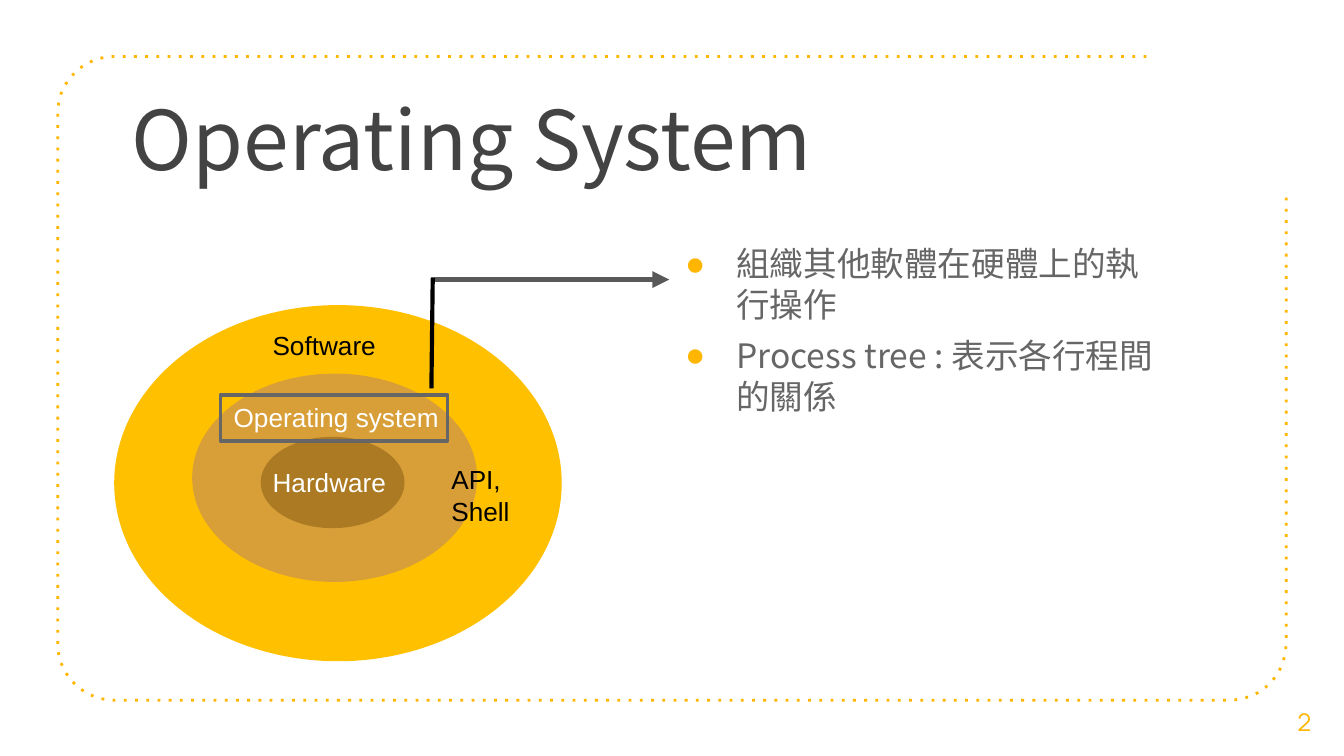
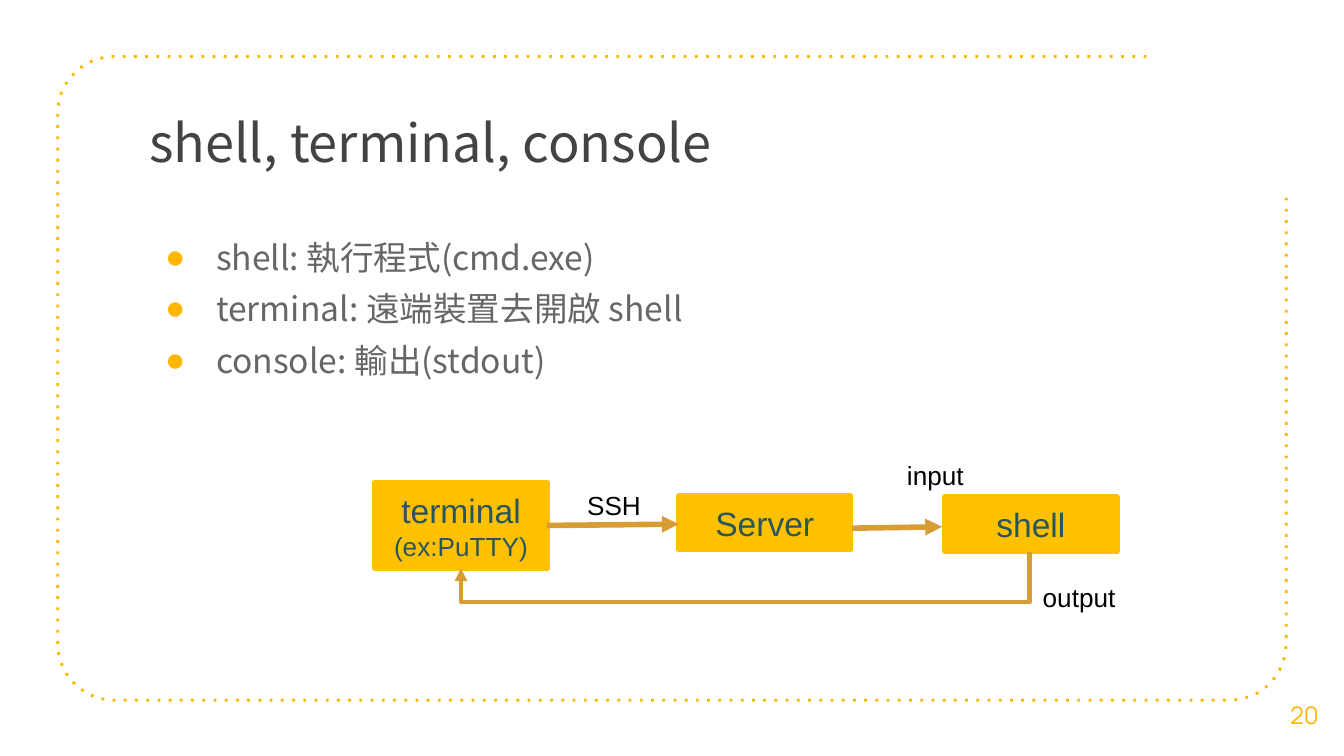
from math import cos, radians, sin

from lxml import etree
from pptx import Presentation
from pptx.dml.color import RGBColor
from pptx.enum.shapes import MSO_CONNECTOR as Connector, MSO_SHAPE as Shape
from pptx.enum.text import MSO_ANCHOR as Anchor, PP_ALIGN as Align
from pptx.oxml.ns import qn
from pptx.util import Inches, Pt

COLORS = {
    "accent": "FFB600", "title": "434343", "body": "666666",
    "amber": "FFC000", "ochre": "D89F39", "brown": "AB7A22",
    "arrow": "D79D34", "gray": "595959", "teal": "29555D",
    "black": "000000", "white": "FFFFFF",
}
HEAD_FONT, LABEL_FONT, NUMBER_FONT = "Noto Sans CJK SC", "Arial", "Manrope"

# Content: boxes are left, top, width, height in inches
SYSTEM = {
    "title": ("Operating System", 44, (0.88, 0.56, 7.51, 0.94)),
    "number": ("2", 5.07),
    "bullets": ["組織其他軟體在硬體上的執行操作", "Process tree : 表示各行程間的關係"],
    "body": (4.88, 1.71, 3.88, 3.31),
}
LAYERS = [
    ("amber", (0.85, 2.27, 3.33, 2.65)),
    ("ochre", (1.43, 2.78, 2.12, 1.55)),
    ("brown", (1.94, 3.25, 1.07, 0.68)),
]
LAYER_LABELS = [
    (["Hardware"], "white", (1.93, 3.42, 1.16, 0.34)),
    (["Operating system"], "white", (1.64, 2.94, 1.76, 0.34)),
    (["Software"], "black", (1.93, 2.4, 1.4, 0.34)),
    (["API,", "Shell"], "black", (3.26, 3.4, 1.18, 0.57)),
]
HIGHLIGHT = (1.64, 2.94, 1.69, 0.34)

CONSOLE = {
    "title": ("shell, terminal, console", 28, (1.01, 0.72, 7.51, 0.94)),
    "number": ("20", 5.02),
    "bullets": ["shell: 執行程式(cmd.exe)", "terminal: 遠端裝置去開啟 shell",
                "console: 輸出(stdout)"],
    "body": (1.01, 1.66, 4.43, 3.31),
}
FLOW_BOXES = [
    ([("terminal", 18), ("(ex:PuTTY)", 14)], (2.79, 3.59, 1.28, 0.64)),
    ([("Server", 18)], (5.05, 3.69, 1.28, 0.4)),
    ([("shell", 18)], (7.03, 3.7, 1.28, 0.4)),
]
FLOW_ARROWS = [((4.07, 3.91), (5.05, 3.9)), ((6.34, 3.93), (7.01, 3.92))]
FLOW_LABELS = [("SSH", 4.27, 3.59), ("input", 6.65, 3.37), ("output", 7.66, 4.28)]
RETURN_START, RETURN_END, RETURN_LEVEL = (7.66, 4.11), (3.43, 4.23), 4.48


def color(name):
    return RGBColor.from_string(COLORS[name])


def inches(values):
    return [Inches(value) for value in values]


def add_run(paragraph, text, size, font_name, color_name):
    run = paragraph.add_run()
    run.text = text
    run.font.size = Pt(size)
    run.font.name = font_name
    run.font.color.rgb = color(color_name)
    if font_name == HEAD_FONT:
        latin = run._r.rPr.find(qn("a:latin"))
        latin.addnext(etree.Element(qn("a:ea"), typeface=font_name))


def set_frame(frame, margin=None, anchor=Anchor.TOP):
    frame.word_wrap = True
    frame.vertical_anchor = anchor
    if margin is not None:
        frame.margin_left = frame.margin_right = Inches(margin)
        frame.margin_top = frame.margin_bottom = Inches(margin)


def fill_lines(frame, lines, font_name, color_name, align=Align.LEFT):
    """Write (text, size) lines, one paragraph each."""
    for index, (text, size) in enumerate(lines):
        paragraph = frame.add_paragraph() if index else frame.paragraphs[0]
        paragraph.alignment = align
        add_run(paragraph, text, size, font_name, color_name)


def add_label(slide, lines, color_name, box):
    frame = slide.shapes.add_textbox(*inches(box)).text_frame
    set_frame(frame)
    fill_lines(frame, [(line, 14) for line in lines], LABEL_FONT, color_name)


def add_block(slide, kind, box, fill=None, line=None, width=0):
    shape = slide.shapes.add_shape(kind, *inches(box))
    shape.shadow.inherit = False
    if fill:
        shape.fill.solid()
        shape.fill.fore_color.rgb = color(fill)
    else:
        shape.fill.background()
    if line:
        shape.line.color.rgb = color(line)
        shape.line.width = Pt(width)
    else:
        shape.line.fill.background()
    return shape


def add_line(slide, start, end, color_name, width, arrow=True, kind=Connector.STRAIGHT):
    line = slide.shapes.add_connector(kind, *inches(start + end))
    line.line.color.rgb = color(color_name)
    line.line.width = Pt(width)
    properties = line._element.spPr
    if arrow:
        etree.SubElement(properties.find(qn("a:ln")), qn("a:tailEnd"), type="triangle")
    etree.SubElement(properties, qn("a:effectLst"))
    return line


def add_return_arrow(slide):
    """Elbow turned by 90 degrees: down from the start, across, up to the end."""
    (x1, y1), (x2, y2) = RETURN_START, RETURN_END
    rise, run = y2 - y1, x1 - x2
    center_x, center_y = (x1 + x2) / 2, (y1 + y2) / 2
    start = (center_x - rise / 2, center_y - run / 2)
    end = (center_x + rise / 2, center_y + run / 2)
    line = add_line(slide, start, end, "arrow", 2.25, kind=Connector.ELBOW)
    properties = line._element.spPr
    properties.find(qn("a:xfrm")).set("rot", str(90 * 60000))
    geometry = properties.find(qn("a:prstGeom"))
    adjustments = geometry.find(qn("a:avLst"))
    if adjustments is None:
        adjustments = etree.SubElement(geometry, qn("a:avLst"))
    bend = round((RETURN_LEVEL - y1) / rise * 100000)
    etree.SubElement(adjustments, qn("a:gd"), name="adj1", fmla=f"val {bend}")


def add_border(slide, layout):
    """Dotted border with three rounded corners, placed on the shared layout."""
    left, top, right, bottom, radius = 0.43, 0.42, 9.57, 5.21, 0.42
    corners = [
        (left + radius, top + radius, 270),
        (left + radius, bottom - radius, 180),
        (right - radius, bottom - radius, 90),
    ]
    points = [
        (x + radius * cos(radians(angle)), y + radius * sin(radians(angle)))
        for x, y, first in corners
        for angle in range(first, first - 91, -10)
    ] + [(right, 1.46)]
    builder = slide.shapes.build_freeform(Inches(8.53), Inches(top))
    builder.add_line_segments([inches(point) for point in points], close=False)
    border = builder.convert_to_shape()
    border.shadow.inherit = False
    border.fill.background()
    border.line.color.rgb = color("accent")
    border.line.width = Pt(1.5)
    outline = border._element.spPr.find(qn("a:ln"))
    etree.SubElement(outline, qn("a:prstDash"), val="dot")
    layout.shapes.element.insert(2, border._element)


def add_bullets(slide, bullets, box):
    frame = slide.shapes.add_textbox(*inches(box)).text_frame
    set_frame(frame, 0.1)
    for index, text in enumerate(bullets):
        paragraph = frame.add_paragraph() if index else frame.paragraphs[0]
        properties = paragraph._p.get_or_add_pPr()
        properties.set("marL", str(Inches(0.5)))
        properties.set("indent", str(Inches(-0.38)))
        bullet_color = etree.SubElement(properties, qn("a:buClr"))
        etree.SubElement(bullet_color, qn("a:srgbClr"), val=COLORS["accent"])
        etree.SubElement(properties, qn("a:buFont"), typeface=LABEL_FONT)
        etree.SubElement(properties, qn("a:buChar"), char="●")
        if index:
            paragraph.space_before = Pt(6)
        add_run(paragraph, text, 18, HEAD_FONT, "body")


def add_slide(presentation, layout, content):
    slide = presentation.slides.add_slide(layout)
    text, size, box = content["title"]
    title = slide.shapes.title
    title.left, title.top, title.width, title.height = inches(box)
    set_frame(title.text_frame, 0.1)
    fill_lines(title.text_frame, [(text, size)], HEAD_FONT, "title")

    add_bullets(slide, content["bullets"], content["body"])

    number, top = content["number"]
    frame = slide.shapes.add_textbox(*inches((9.41, top, 0.59, 0.6))).text_frame
    set_frame(frame, 0.1, Anchor.MIDDLE)
    fill_lines(frame, [(number, 13)], NUMBER_FONT, "accent", Align.CENTER)
    return slide


def draw_layers(slide):
    for fill, box in LAYERS:
        add_block(slide, Shape.OVAL, box, fill)
    for lines, color_name, box in LAYER_LABELS:
        add_label(slide, lines, color_name, box)
    add_block(slide, Shape.RECTANGLE, HIGHLIGHT, line="body", width=2)
    add_line(slide, (3.21, 2.08), (4.98, 2.08), "gray", 3)
    add_line(slide, (3.21, 2.89), (3.22, 2.07), "black", 2.25, arrow=False)


def draw_flow(slide):
    for lines, box in FLOW_BOXES:
        shape = add_block(slide, Shape.RECTANGLE, box, "amber", "amber", 3)
        set_frame(shape.text_frame, anchor=Anchor.MIDDLE)
        fill_lines(shape.text_frame, lines, LABEL_FONT, "teal", Align.CENTER)
    for start, end in FLOW_ARROWS:
        add_line(slide, start, end, "arrow", 3)
    add_return_arrow(slide)
    for text, left, top in FLOW_LABELS:
        add_label(slide, [text], "black", (left, top, 0.85, 0.34))


def main():
    presentation = Presentation()
    presentation.slide_width = Inches(10)
    presentation.slide_height = presentation.slide_width * 9 // 16
    layout = presentation.slide_layouts[5]

    system_slide = add_slide(presentation, layout, SYSTEM)
    add_border(system_slide, layout)
    draw_layers(system_slide)
    draw_flow(add_slide(presentation, layout, CONSOLE))
    presentation.save("out.pptx")


if __name__ == "__main__":
    main()
